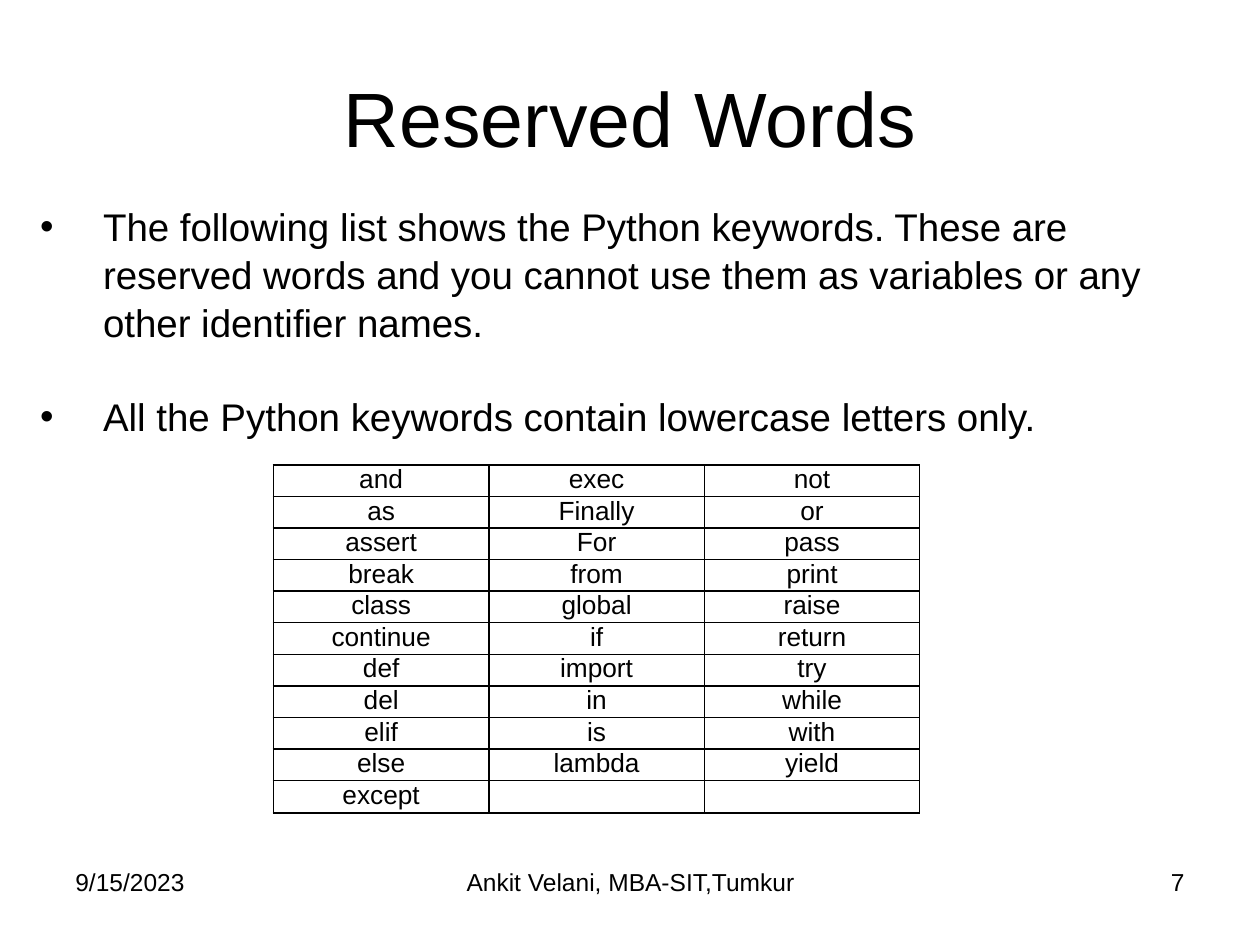
from dataclasses import dataclass

from lxml import etree
from pptx import Presentation
from pptx import util as u
from pptx.dml.color import RGBColor
from pptx.enum import text
from pptx.oxml import ns

LEFT, CENTER, RIGHT = (text.PP_ALIGN.LEFT, text.PP_ALIGN.CENTER,
                       text.PP_ALIGN.RIGHT)


@dataclass(frozen=True)
class Theme:
    font: str = "Arial"
    ink: str = "000000"
    paper: str = "FFFFFF"
    title: float = 44
    body: float = 22
    table: float = 15
    footer: float = 14
    border: float = 1


class SlideBuilder:
    def __init__(self, slide, theme):
        self.slide = slide
        self.theme = theme
        fill = slide.background.fill
        fill.solid()
        fill.fore_color.rgb = RGBColor.from_string(theme.paper)

    def style(self, font, size):
        font.name = self.theme.font
        font.size = u.Pt(size)
        font.color.rgb = RGBColor.from_string(self.theme.ink)

    def run(self, p, content, size):
        r = p.add_run()
        r.text = content
        self.style(r.font, size)

    def frame(self, left, top, width, height):
        box = self.slide.shapes.add_textbox(
            u.Inches(left), u.Inches(top), u.Inches(width), u.Inches(height))
        tf = box.text_frame
        tf.word_wrap = True
        return tf

    def label(self, content, bounds, size, align=LEFT,
              anchor=text.MSO_ANCHOR.TOP):
        tf = self.frame(*bounds)
        tf.vertical_anchor = anchor
        p = tf.paragraphs[0]
        p.alignment = align
        self.run(p, content, size)

    def bullets(self, items, bounds, gap):
        tf = self.frame(*bounds)
        for i, item in enumerate(items):
            p = tf.add_paragraph() if i else tf.paragraphs[0]
            p.line_spacing = 1.04
            if i:
                p.space_before = u.Pt(gap)
            props = p._p.get_or_add_pPr()
            props.set("marL", str(u.Inches(0.5)))
            props.set("indent", str(-u.Inches(0.5)))
            etree.SubElement(props, ns.qn("a:buFont"), typeface=self.theme.font)
            etree.SubElement(props, ns.qn("a:buChar"), char="•")
            self.run(p, item, self.theme.body)

    def borders(self, cell):
        props = cell._tc.get_or_add_tcPr()
        for side in ("lnL", "lnR", "lnT", "lnB"):
            line = etree.SubElement(props, ns.qn(f"a:{side}"),
                                    w=str(u.Pt(self.theme.border)))
            fill = etree.SubElement(line, ns.qn("a:solidFill"))
            etree.SubElement(fill, ns.qn("a:srgbClr"), val=self.theme.ink)

    def table(self, columns, left, top, col_width, row_height, last_height):
        """Fill the table column by column; short columns end in empty cells."""
        count = max(len(column) for column in columns)
        table = self.slide.shapes.add_table(
            count, len(columns), u.Inches(left), u.Inches(top),
            u.Inches(col_width * len(columns)),
            u.Inches(row_height * (count - 1) + last_height)).table
        table.first_row = table.horz_banding = False
        for row in table.rows:
            row.height = u.Inches(row_height)
        table.rows[count - 1].height = u.Inches(last_height)
        for c, words in enumerate(columns):
            table.columns[c].width = u.Inches(col_width)
            for r in range(count):
                cell = table.cell(r, c)
                cell.margin_left = cell.margin_right = u.Inches(0.01)
                cell.margin_top = cell.margin_bottom = 0
                self.borders(cell)
                cell.fill.background()
                p = cell.text_frame.paragraphs[0]
                p.alignment = CENTER
                if r < len(words):
                    self.run(p, words[r], self.theme.table)
                else:
                    self.style(p.font, self.theme.table)
                    p.line_spacing = u.Pt(self.theme.table)


KEYWORDS = [
    ["and", "as", "assert", "break", "class", "continue", "def", "del",
     "elif", "else", "except"],
    ["exec", "Finally", "For", "from", "global", "if", "import", "in", "is",
     "lambda"],
    ["not", "or", "pass", "print", "raise", "return", "try", "while", "with",
     "yield"],
]
RULES = [
    "The following list shows the Python keywords. These are reserved words "
    "and you cannot use them as variables or any other identifier names.",
    "All the Python keywords contain lowercase letters only.",
]
FOOTERS = [
    ("9/15/2023", 0.5, 2.33, LEFT),
    ("Ankit Velani, MBA-SIT,Tumkur", 3.42, 3.17, CENTER),
    ("7", 7.17, 2.33, RIGHT),
]


def main():
    prs = Presentation()
    prs.slide_width, prs.slide_height = u.Inches(10), u.Inches(7.5)
    theme = Theme()
    s = SlideBuilder(prs.slides.add_slide(prs.slide_layouts[6]), theme)
    for content, left, width, align in FOOTERS:
        s.label(content, (left, 6.83, width, 0.52), theme.footer, align)
    s.label("Reserved Words", (0.5, 0.3, 9, 1.25), theme.title, CENTER,
            text.MSO_ANCHOR.MIDDLE)
    s.bullets(RULES, (0.22, 1.55, 9.57, 3.75), gap=26.3)
    s.table(KEYWORDS, 2.17, 3.69, col_width=1.71, row_height=0.24,
            last_height=0.26)
    prs.save("out.pptx")


if __name__ == "__main__":
    main()
